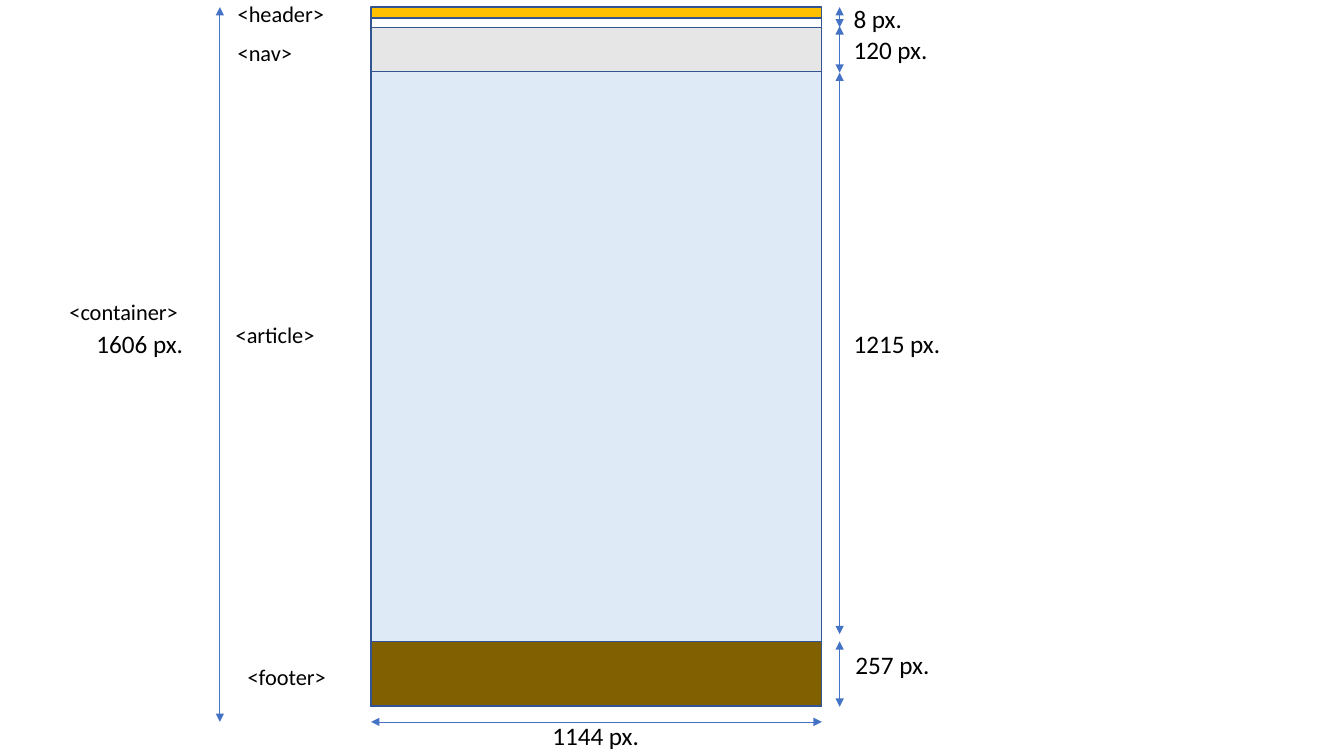
"""Draw the page layout with its HTML regions and pixel sizes."""
from typing import NamedTuple, Optional

from lxml import etree
from pptx import Presentation
from pptx import util as u
from pptx.dml.color import RGBColor
from pptx.enum import shapes, text
from pptx.oxml.ns import qn

INK = {"edge": "325491", "arrow": "4472C4", "text": "000000", "header": "FFC000",
       "nav": "E7E6E6", "article": "DEEBF7", "footer": "806000"}
LEFT, WIDTH = 9.35, 11.36
TOP, BASE = 0.18, 18.19
RULER = 21.16
SIZE_X = 21.26


class Band(NamedTuple):
    """A region of the page, in centimetres."""
    top: float
    height: float
    fill: Optional[str] = None


class Arrow(NamedTuple):
    """A double-headed measure, in centimetres."""
    x: float
    y: float
    to_x: float
    to_y: float


class Label(NamedTuple):
    """A caption and its box, in centimetres."""
    words: str
    x: float
    y: float
    width: float


BANDS = [Band(0.46, 17.35), Band(TOP, 0.28, "header"), Band(0.69, 1.13, "nav"),
         Band(1.81, 14.35, "article"), Band(16.16, 1.63, "footer")]
SPANS = [(TOP, 0.69), (0.66, 1.83), (1.83, 15.98), (16.16, 17.81)]
ARROWS = [Arrow(5.54, TOP, 5.54, BASE), Arrow(LEFT, BASE, LEFT + WIDTH, BASE),
          *(Arrow(RULER, top, RULER, end) for top, end in SPANS)]
SIZES = [Label("1606 px.", 2.18, 8.15, 2.72), Label("1144 px.", 13.67, 18.03, 2.72),
         Label("8 px.", SIZE_X, -0.05, 1.75), Label("120 px.", SIZE_X, 0.74, 2.39),
         Label("1215 px.", SIZE_X, 8.15, 2.72), Label("257 px.", 21.31, 16.23, 2.39)]
TAGS = [Label("<header>", 5.74, -0.13, 3.61), Label("<nav>", 5.74, 0.86, 3.61),
        Label("<article>", 5.69, 7.98, 3.61), Label("<footer>", 5.99, 16.59, 3.61),
        Label("<container>", 1.5, 7.39, 4.5)]


def tint(name: str) -> RGBColor:
    """Return a named colour."""
    return RGBColor.from_string(INK[name])


def draw_band(slide, band: Band) -> None:
    """Draw one region of the page."""
    box = slide.shapes.add_shape(shapes.MSO_SHAPE.RECTANGLE, u.Cm(LEFT), u.Cm(band.top),
                                 u.Cm(WIDTH), u.Cm(band.height))
    box.shadow.inherit = False
    box.line.color.rgb = tint("edge")
    box.line.width = u.Pt(1)
    if band.fill:
        box.fill.solid()
        box.fill.fore_color.rgb = tint(band.fill)
    else:
        box.fill.background()


def draw_arrow(slide, arrow: Arrow) -> None:
    """Draw one measure with a head at each end."""
    line = slide.shapes.add_connector(shapes.MSO_CONNECTOR.STRAIGHT,
                                      *(u.Cm(value) for value in arrow))
    line.line.color.rgb = tint("arrow")
    line.line.width = u.Pt(0.5)
    for end in ("a:headEnd", "a:tailEnd"):
        etree.SubElement(line.line._get_or_add_ln(), qn(end), type="triangle")
    etree.SubElement(line._element.spPr, qn("a:effectLst"))


def write(slide, label: Label, *, size: int, height: float, wrap: bool) -> None:
    """Write one caption in the given format."""
    box = slide.shapes.add_textbox(u.Cm(label.x), u.Cm(label.y),
                                   u.Cm(label.width), u.Cm(height))
    frame = box.text_frame
    frame.word_wrap = wrap
    frame.auto_size = text.MSO_AUTO_SIZE.SHAPE_TO_FIT_TEXT
    run = frame.paragraphs[0].add_run()
    run.text = label.words
    run.font.name = "Calibri"
    run.font.size = u.Pt(size)
    run.font.color.rgb = tint("text")


def main() -> None:
    """Build and save the slide."""
    deck = Presentation()
    deck.slide_width, deck.slide_height = u.Cm(33.87), u.Cm(19.05)
    slide = deck.slides.add_slide(deck.slide_layouts[6])
    for band in BANDS:
        draw_band(slide, band)
    for arrow in ARROWS:
        draw_arrow(slide, arrow)
    for label in SIZES:
        write(slide, label, size=18, height=1.02, wrap=False)
    for label in TAGS:
        write(slide, label, size=16, height=0.94, wrap=True)
    deck.save("out.pptx")


main()
